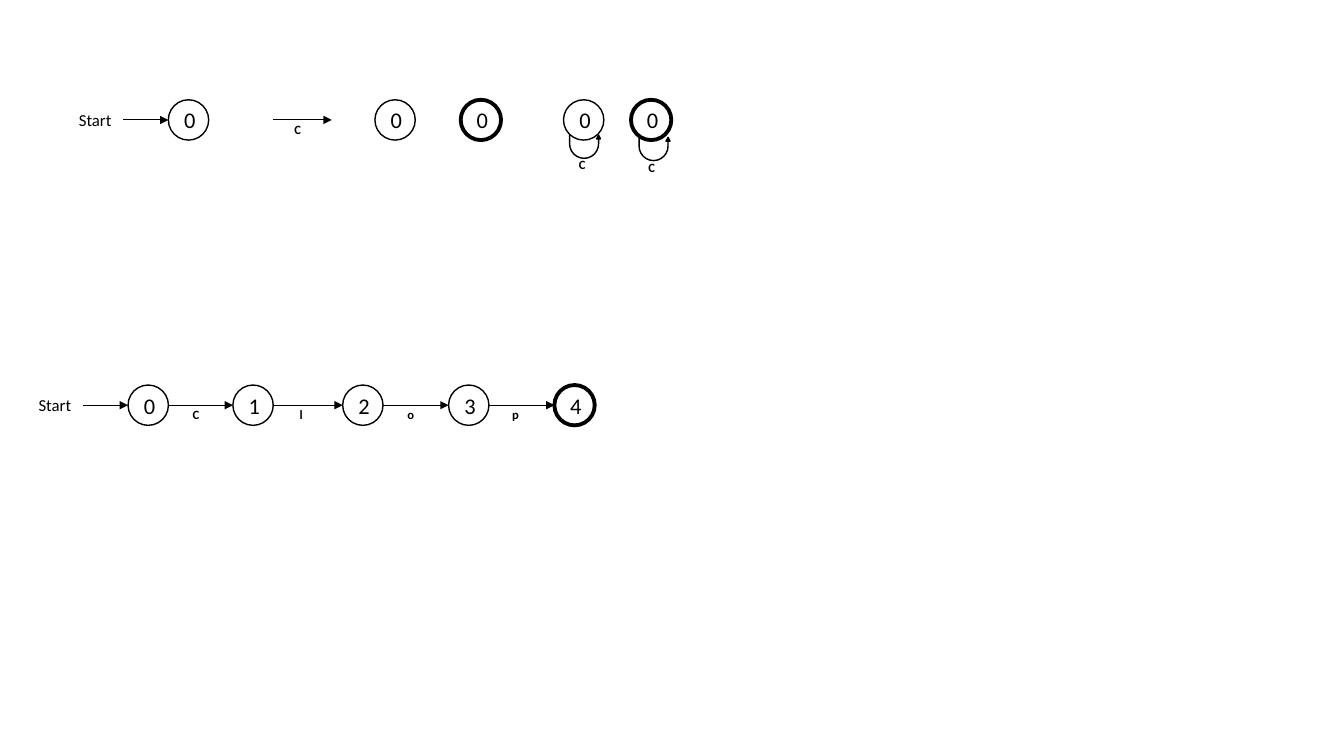
from lxml.etree import SubElement
from pptx import Presentation
from pptx.dml.color import RGBColor
from pptx.enum.shapes import MSO_CONNECTOR, MSO_SHAPE
from pptx.enum.text import MSO_ANCHOR, MSO_AUTO_SIZE, PP_ALIGN
from pptx.oxml.ns import qn
from pptx.util import Inches, Pt

BLACK = RGBColor(0, 0, 0)
FONT = "Calibri"
WIDTH, HEIGHT = Inches(13.33), Inches(7.5)
COLUMN, ROW = WIDTH / 100, HEIGHT / 100
STATE_SIZE = 3
THIN, THICK = 1, 2.75

LEGEND_ROW, AUTOMATON_ROW = 15.87, 53.6
AUTOMATON_COLUMNS = (9.53, 17.33, 25.5, 33.38, 41.25)
TRANSITIONS = (("C", 13.88), ("l", 21.83), ("o", 29.85), ("p", 37.65))


def x(columns):
    return round(columns * COLUMN)


def y(rows):
    return round(rows * ROW)


def add_run(paragraph, text, size, bold=False):
    run = paragraph.add_run()
    run.text = text
    run.font.name = FONT
    run.font.size = Pt(size)
    run.font.bold = bold
    run.font.color.rgb = BLACK


def add_label(shapes, text, left, top, width, height, size, bold=False):
    label = shapes.add_textbox(x(left), y(top), x(width), y(height))
    frame = label.text_frame
    frame.word_wrap = False
    frame.auto_size = MSO_AUTO_SIZE.SHAPE_TO_FIT_TEXT
    add_run(frame.paragraphs[0], text, size, bold)


def add_symbol(shapes, text, left, top):
    add_label(shapes, text, left, top, 1.2, 3.3, 9, bold=True)


def add_arrow(shapes, start, end, row):
    arrow = shapes.add_connector(MSO_CONNECTOR.STRAIGHT, x(start), y(row), x(end), y(row))
    arrow.line.color.rgb = BLACK
    arrow.line.width = Pt(0.75)
    SubElement(arrow.line._get_or_add_ln(), qn("a:tailEnd"), type="triangle")
    SubElement(arrow.element.spPr, qn("a:effectLst"))


def add_state(shapes, text, left, row, weight=THIN):
    size = x(STATE_SIZE)
    state = shapes.add_shape(MSO_SHAPE.OVAL, x(left), y(row) - size // 2, size, size)
    state.shadow.inherit = False
    state.fill.background()
    state.line.color.rgb = BLACK
    state.line.width = Pt(weight)
    frame = state.text_frame
    frame.word_wrap = True
    frame.vertical_anchor = MSO_ANCHOR.MIDDLE
    paragraph = frame.paragraphs[0]
    paragraph.alignment = PP_ALIGN.CENTER
    add_run(paragraph, text, 16)


def add_start_state(slide, text, left, row):
    shapes = slide.shapes.add_group_shape().shapes
    add_label(shapes, "Start", left - 7.4, row - 2, 4, 4, 12)
    add_arrow(shapes, left - 3.38, left, row)
    add_state(shapes, text, left, row)


def add_transition(slide, symbol, symbol_left, start, end, row):
    shapes = slide.shapes.add_group_shape().shapes
    add_arrow(shapes, start, end, row)
    add_symbol(shapes, symbol, symbol_left, row - 0.45)


def add_loop_state(slide, text, symbol, left, row, weight=THIN, shift=0):
    shapes = slide.shapes.add_group_shape().shapes
    add_state(shapes, text, left, row, weight)
    loop = shapes.add_shape(
        MSO_SHAPE.U_TURN_ARROW, x(left + 0.45 + shift), y(row + 2 + 2 * shift), x(2.3), y(3.07)
    )
    for index, value in enumerate((0, 0.085, 0.164, 0.717, 1)):
        loop.adjustments[index] = value
    loop.rotation = 180
    loop.element.spPr.xfrm.set("flipH", "1")
    loop.shadow.inherit = False
    loop.fill.solid()
    loop.fill.fore_color.rgb = BLACK
    loop.line.color.rgb = BLACK
    loop.line.width = Pt(1)
    add_symbol(shapes, symbol, left + 0.68 + shift, row + 4.27 + 2 * shift)


def add_legend(slide):
    add_start_state(slide, "0", 12.53, LEGEND_ROW)
    add_transition(slide, "C", 21.45, 20.33, 24.68, LEGEND_ROW)
    add_state(slide.shapes, "0", 27.9, LEGEND_ROW)
    add_state(slide.shapes, "0", 34.28, LEGEND_ROW, THICK)
    add_loop_state(slide, "0", "C", 41.93, LEGEND_ROW)
    add_loop_state(slide, "0", "C", 46.95, LEGEND_ROW, THICK, 0.15)


def add_automaton(slide):
    first, *others = AUTOMATON_COLUMNS
    add_start_state(slide, "0", first, AUTOMATON_ROW)
    for number, left in enumerate(others, 1):
        symbol, symbol_left = TRANSITIONS[number - 1]
        start = AUTOMATON_COLUMNS[number - 1] + STATE_SIZE
        add_transition(slide, symbol, symbol_left, start, left, AUTOMATON_ROW)
        weight = THICK if number == len(others) else THIN
        add_state(slide.shapes, str(number), left, AUTOMATON_ROW, weight)


def main():
    presentation = Presentation()
    presentation.slide_width, presentation.slide_height = WIDTH, HEIGHT
    slide = presentation.slides.add_slide(presentation.slide_layouts[6])
    add_legend(slide)
    add_automaton(slide)
    presentation.save("out.pptx")


if __name__ == "__main__":
    main()
